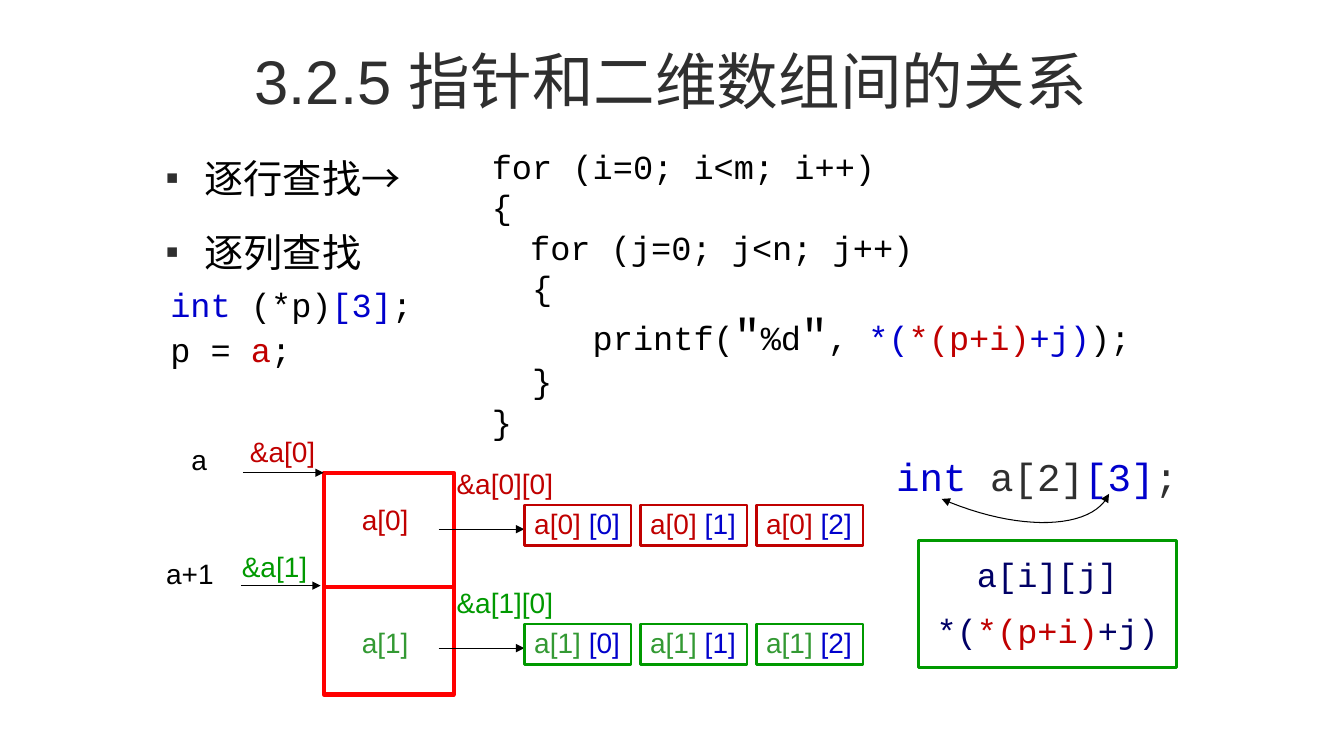
"""Builds a slide on how pointers relate to two-dimensional arrays."""
from lxml.etree import SubElement
from pptx import Presentation
from pptx.dml.color import RGBColor
from pptx.enum.shapes import MSO_CONNECTOR, MSO_SHAPE
from pptx.enum.text import MSO_ANCHOR, MSO_AUTO_SIZE, PP_ALIGN
from pptx.oxml.ns import qn
from pptx.util import Inches, Pt

BLACK = RGBColor(0x00, 0x00, 0x00)
WHITE = RGBColor(0xFF, 0xFF, 0xFF)
CHARCOAL = RGBColor(0x2F, 0x2F, 0x2F)
NAVY = RGBColor(0x00, 0x00, 0x66)
BLUE = RGBColor(0x00, 0x00, 0xCC)
CRIMSON = RGBColor(0xC0, 0x00, 0x00)
RED = RGBColor(0xFF, 0x00, 0x00)
GREEN = RGBColor(0x00, 0x99, 0x00)
SOFT_GREEN = RGBColor(0x33, 0x99, 0x33)
SANS, MONO, CJK = "Arial", "Courier New", "Noto Sans CJK SC"


class SlideBuilder:
    def __init__(self, presentation):
        self.slide = presentation.slides.add_slide(presentation.slide_layouts[1])
        self.shapes = self.slide.shapes

    def place(self, shape, left, top, width, height):
        shape.left, shape.top = Inches(left), Inches(top)
        shape.width, shape.height = Inches(width), Inches(height)

    def format_run(self, run, size, color, font):
        run.font.size = Pt(size)
        run.font.color.rgb = color
        run.font.name = font
        SubElement(run.font._element, qn("a:ea"), typeface=CJK)

    def fill_text(self, frame, lines, size, font=MONO, spacing=0.9, before=0, after=0,
                  align=PP_ALIGN.LEFT, wrap=False, anchor=MSO_ANCHOR.TOP):
        frame.word_wrap = wrap
        frame.auto_size = MSO_AUTO_SIZE.NONE
        frame.vertical_anchor = anchor
        for index, pieces in enumerate(lines):
            paragraph = frame.add_paragraph() if index else frame.paragraphs[0]
            paragraph.alignment = align
            paragraph.line_spacing = spacing
            paragraph.space_before = Pt(before if index else 0)
            paragraph.space_after = Pt(after)
            for text, color, *run_size in pieces:
                run = paragraph.add_run()
                run.text = text
                self.format_run(run, run_size[0] if run_size else size, color, font)

    def title(self, text, box):
        title = self.shapes.title
        self.place(title, *box)
        self.fill_text(title.text_frame, [[(text, CHARCOAL)]], 44, SANS, 1,
                       align=PP_ALIGN.CENTER, wrap=True, anchor=MSO_ANCHOR.MIDDLE)

    def bullets(self, items, box):
        body = self.slide.placeholders[1]
        self.place(body, *box)
        self.fill_text(body.text_frame, [[(item, BLACK)] for item in items], 28, CJK,
                       1.2, 6, 6, wrap=True)
        for paragraph in body.text_frame.paragraphs:
            properties = self.hang(paragraph)
            color = SubElement(properties, qn("a:buClr"))
            SubElement(color, qn("a:srgbClr"), val=str(CHARCOAL))
            SubElement(properties, qn("a:buSzPct"), val="50000")
            SubElement(properties, qn("a:buFont"), typeface=SANS)
            SubElement(properties, qn("a:buChar"), char="■")

    def hang(self, paragraph):
        properties = paragraph._p.get_or_add_pPr()
        properties.set("marL", str(Inches(0.38)))
        properties.set("indent", str(Inches(-0.38)))
        return properties

    def text(self, lines, box, size, font=MONO, **style):
        textbox = self.shapes.add_textbox(*map(Inches, box))
        self.fill_text(textbox.text_frame, lines, size, font, **style)
        return textbox

    def label(self, text, color, left, top, width):
        self.text([[(text, color)]], (left, top, width, 0.4), 20, SANS)

    def rectangle(self, box, color, weight, fill=None):
        shape = self.shapes.add_shape(MSO_SHAPE.RECTANGLE, *map(Inches, box))
        shape.shadow.inherit = False
        if fill is None:
            shape.fill.background()
        else:
            shape.fill.solid()
            shape.fill.fore_color.rgb = fill
        shape.line.color.rgb = color
        shape.line.width = Pt(weight)
        return shape

    def line(self, start, end, color=BLACK, weight=0.75, arrow=True):
        connector = self.shapes.add_connector(
            MSO_CONNECTOR.STRAIGHT, *map(Inches, start + end))
        connector.line.color.rgb = color
        connector.line.width = Pt(weight)
        if arrow:
            SubElement(connector.line._get_or_add_ln(), qn("a:tailEnd"), type="triangle")
        SubElement(connector._element.spPr, qn("a:effectLst"))

    def curve(self, controls, steps=24):
        points = []
        for step in range(steps + 1):
            t = step / steps
            weights = ((1 - t) ** 3, 3 * t * (1 - t) ** 2, 3 * t * t * (1 - t), t ** 3)
            points.append(tuple(
                Inches(sum(w * value for w, value in zip(weights, axis)))
                for axis in zip(*controls)))
        builder = self.shapes.build_freeform(*points[0])
        builder.add_line_segments(points[1:], close=False)
        shape = builder.convert_to_shape()
        shape.shadow.inherit = False
        shape.fill.background()
        shape.line.color.rgb = BLACK
        shape.line.width = Pt(0.75)
        for end in ("a:headEnd", "a:tailEnd"):
            SubElement(shape.line._get_or_add_ln(), qn(end), type="triangle")

    def array_row(self, row, color, name_color, name_top, cell_top):
        name = f"a[{row}]"
        self.label(name, name_color, 3.49, name_top, 0.67)
        self.label(f"&{name}[0]", color, 4.43, cell_top - 0.39, 1.17)
        self.line((4.35, cell_top + 0.24), (5.2, cell_top + 0.24))
        for column in range(3):
            cell = self.rectangle((5.2 + 1.15 * column, cell_top, 1.06, 0.4), color, 2)
            self.fill_text(cell.text_frame,
                           [[(f"{name} ", name_color), (f"[{column}]", BLUE)]], 20, SANS)


def main():
    presentation = Presentation()
    presentation.slide_width, presentation.slide_height = Inches(13.33), Inches(7.5)
    builder = SlideBuilder(presentation)

    builder.title("3.2.5 指针和二维数组间的关系", (1.78, 0.28, 9.75, 1.02))
    builder.bullets(["逐行查找→", "逐列查找"], (1.55, 1.39, 2.64, 1.73))

    summary = builder.rectangle((9.11, 5.36, 2.56, 1.26), GREEN, 2.25, WHITE)
    builder.fill_text(
        summary.text_frame,
        [[("a[i][j]", NAVY)], [("*(", NAVY), ("*(p+i)", CRIMSON), ("+j)", NAVY)]],
        24, spacing=0.95, before=7, after=5.9,
        align=PP_ALIGN.CENTER, anchor=MSO_ANCHOR.MIDDLE)
    builder.text([[("int ", BLUE), ("a[2]", CHARCOAL), ("[3]", BLUE), (";", CHARCOAL)]],
                 (8.79, 4.49, 3.02, 0.54), 28)
    builder.curve([(9.34, 4.95), (10.1, 5.28), (10.84, 5.26), (11, 4.9)])

    builder.line((3.21, 5.82), (4.5, 5.82), RED, 3, arrow=False)
    builder.rectangle((3.21, 4.69, 1.29, 2.2), RED, 3)
    builder.label("a", BLACK, 1.8, 4.38, 0.36)
    builder.label("a+1", BLACK, 1.55, 5.51, 0.67)
    builder.label("&a[0]", CRIMSON, 2.38, 4.3, 0.86)
    builder.label("&a[1]", GREEN, 2.3, 5.44, 0.86)
    builder.line((2.41, 4.69), (3.21, 4.69))
    builder.line((2.39, 5.81), (3.18, 5.81))
    builder.array_row(0, CRIMSON, CRIMSON, 4.97, 5.01)
    builder.array_row(1, GREEN, SOFT_GREEN, 6.19, 6.19)

    print_line = [("     printf(", BLACK), ('"', BLACK, 32), ("%d", BLACK),
                  ('"', BLACK, 32), (", ", BLACK), ("*(", BLUE),
                  ("*(p+i)", CRIMSON), ("+j)", BLUE), (");", BLACK)]
    opening = ["for (i=0; i<m; i++)", "{", "\tfor (j=0; j<n; j++)", "  {"]
    closing = ["  }", "}"]
    loop = builder.text(
        [[(code, BLACK)] for code in opening] + [print_line]
        + [[(code, BLACK)] for code in closing],
        (4.78, 1.44, 7.17, 2.86), 24, before=3, wrap=True)
    for paragraph in loop.text_frame.paragraphs:
        builder.hang(paragraph)
    builder.text(
        [[("int ", BLUE), ("(*p)", BLACK), ("[3]", BLUE), (";", BLACK)],
         [("p = ", BLACK), ("a", CRIMSON), (";", BLACK)]],
        (1.59, 2.73, 2.72, 1.26), 24, spacing=1.1, wrap=True)

    presentation.save("out.pptx")


if __name__ == "__main__":
    main()
